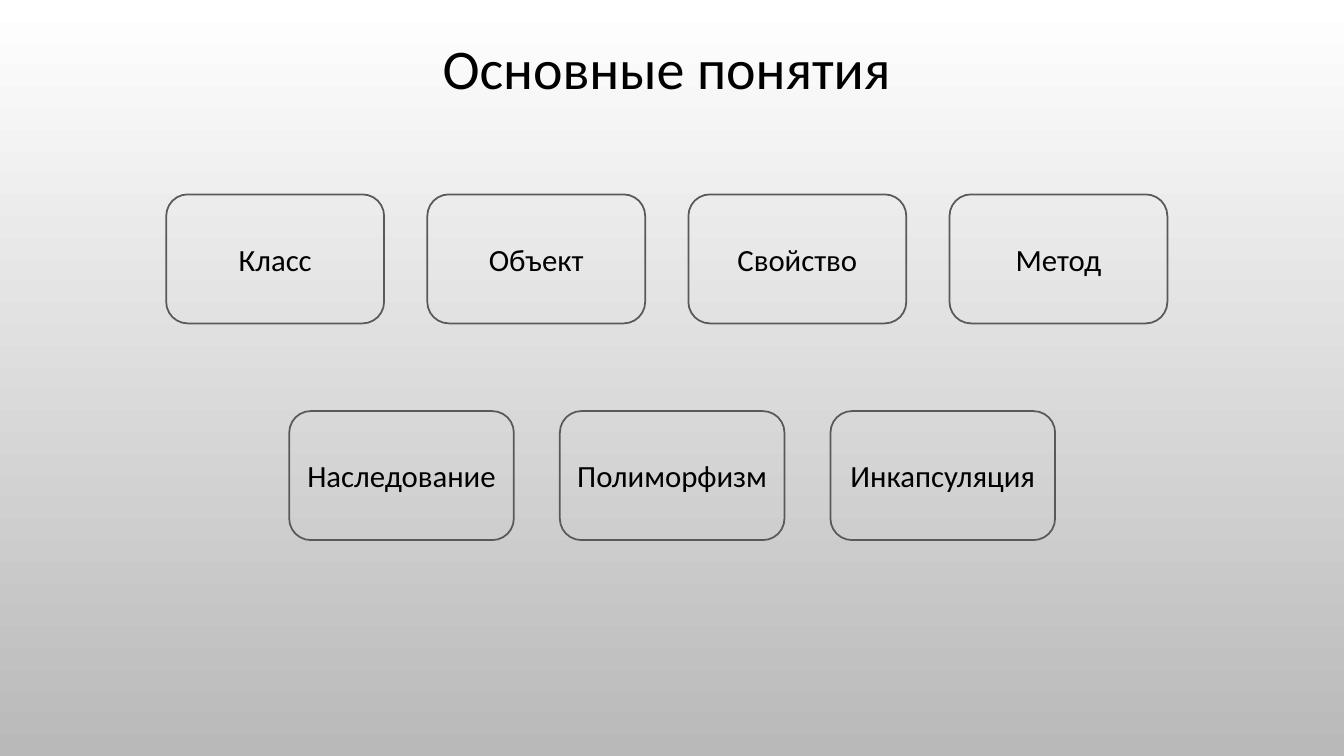
"""Build a slide that shows the basic concepts of object-oriented programming."""
from dataclasses import dataclass

from pptx import Presentation
from pptx import util as u
from pptx.dml.color import RGBColor
from pptx.enum import shapes, text
from pptx.slide import Slide
from pptx.text.text import TextFrame


@dataclass(frozen=True)
class ConceptRow:
    concepts: tuple[str, ...]
    left: float
    top: float
    width: float
    pitch: float


BOX_HEIGHT = 3.25
ROWS = (
    ConceptRow(("Класс", "Объект", "Свойство", "Метод"), 4.19, 4.9, 5.49, 6.58),
    ConceptRow(("Наследование", "Полиморфизм", "Инкапсуляция"), 7.29, 10.36, 5.66, 6.82),
)


def color(value: str) -> RGBColor:
    return RGBColor.from_string(value)


def write(frame: TextFrame, wording: str, *, size: float,
          align: text.PP_ALIGN, anchor: text.MSO_ANCHOR) -> None:
    frame.word_wrap = True
    frame.vertical_anchor = anchor
    paragraph = frame.paragraphs[0]
    paragraph.alignment = align
    run = paragraph.add_run()
    run.text = wording
    run.font.name = "Calibri"
    run.font.size = u.Pt(size)
    run.font.color.rgb = color("000000")


def paint_background(slide: Slide, top: str, bottom: str) -> None:
    fill = slide.background.fill
    fill.gradient()
    fill.gradient_angle = 270
    for stop, shade in zip(fill.gradient_stops, (top, bottom)):
        stop.color.rgb = color(shade)


def place_title(slide: Slide, wording: str) -> None:
    title = slide.shapes.title
    title.left, title.top = u.Cm(10.9), u.Cm(0.71)
    title.width, title.height = u.Cm(12.07), u.Cm(1.96)
    title.text_frame.auto_size = text.MSO_AUTO_SIZE.SHAPE_TO_FIT_TEXT
    write(title.text_frame, wording, size=40,
          align=text.PP_ALIGN.LEFT, anchor=text.MSO_ANCHOR.TOP)


def draw_row(slide: Slide, row: ConceptRow) -> None:
    for column, concept in enumerate(row.concepts):
        box = slide.shapes.add_shape(
            shapes.MSO_SHAPE.ROUNDED_RECTANGLE,
            u.Cm(row.left + column * row.pitch), u.Cm(row.top),
            u.Cm(row.width), u.Cm(BOX_HEIGHT))
        box.shadow.inherit = False
        box.fill.background()
        box.line.color.rgb = color("595959")
        box.line.width = u.Pt(1.25)
        write(box.text_frame, concept, size=22,
              align=text.PP_ALIGN.CENTER, anchor=text.MSO_ANCHOR.MIDDLE)


def main() -> None:
    deck = Presentation()
    deck.slide_width, deck.slide_height = u.Cm(33.87), u.Cm(19.05)
    slide = deck.slides.add_slide(deck.slide_layouts.get_by_name("Title Only"))
    paint_background(slide, "FFFFFF", "B9B9B9")
    place_title(slide, "Основные понятия")
    for row in ROWS:
        draw_row(slide, row)
    deck.save("out.pptx")


if __name__ == "__main__":
    main()
